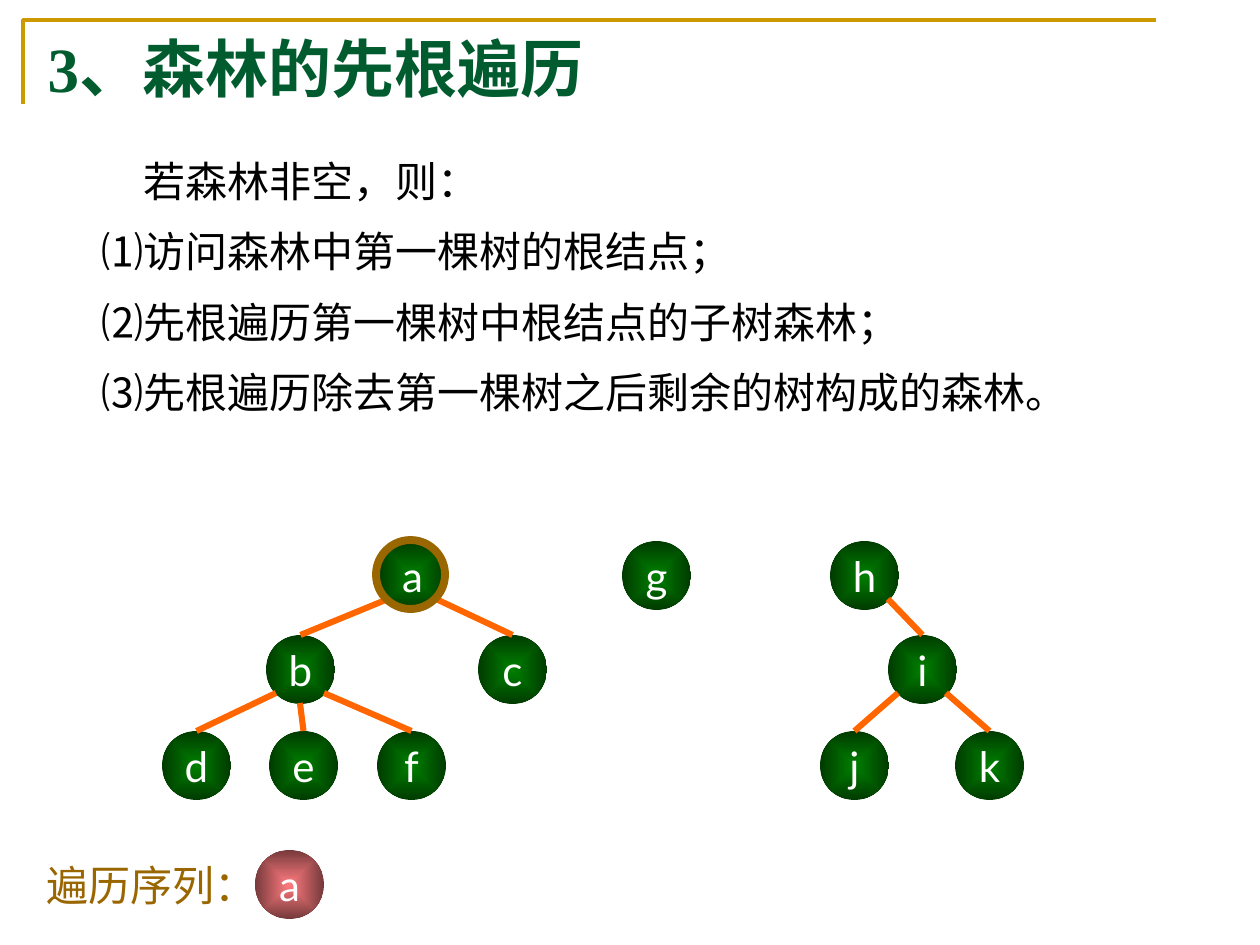
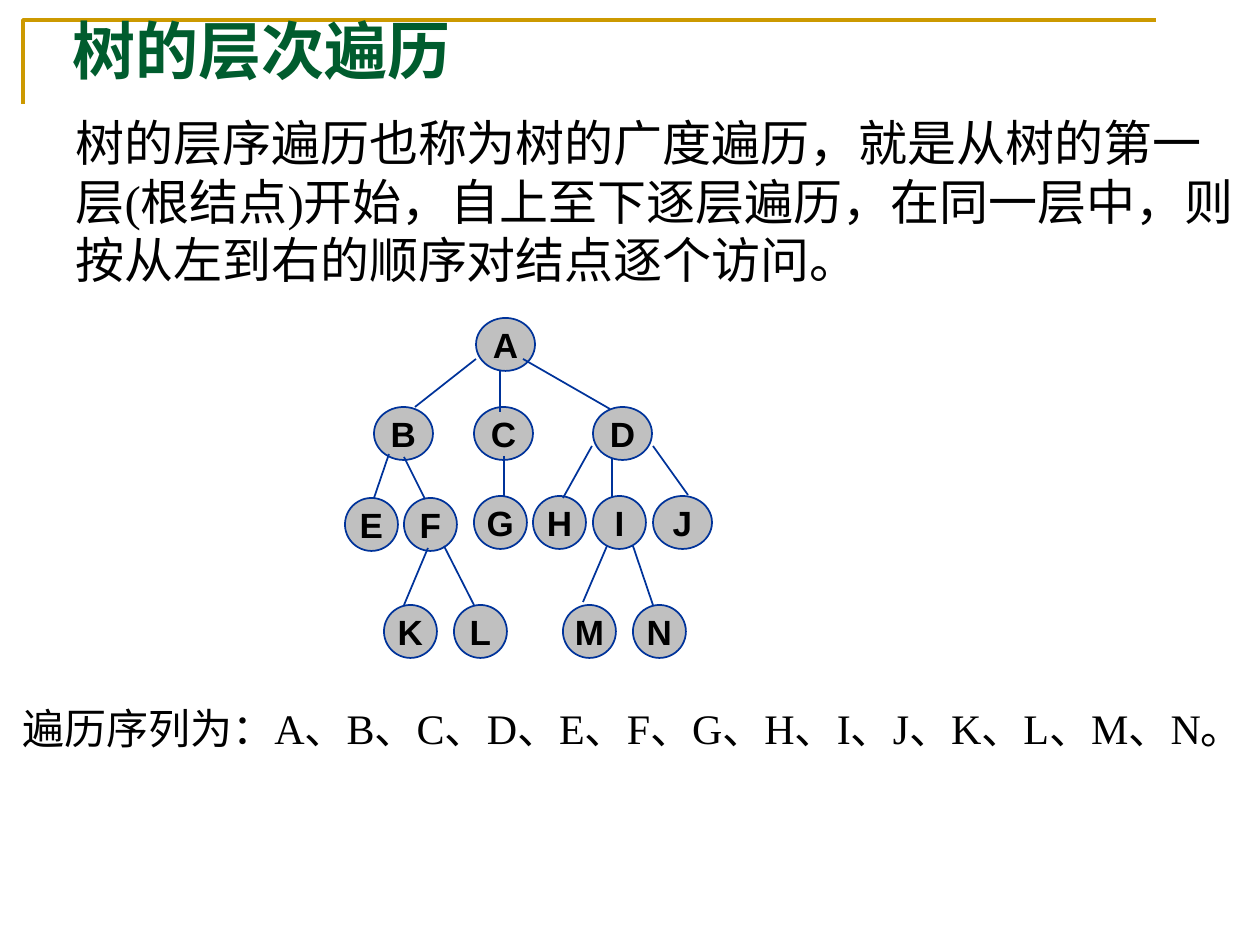
from pptx import Presentation, util as u
from pptx.dml.color import RGBColor
from pptx.enum import shapes, text
from pptx.oxml import ns
from lxml import etree

GOLD = RGBColor(0xCC, 0x99, 0x00)
BROWN = RGBColor(0x99, 0x66, 0x00)
PINE = RGBColor(0x00, 0x5C, 0x2E)
BLACK = RGBColor(0, 0, 0)
WHITE = RGBColor(0xFF, 0xFF, 0xFF)
ORANGE = RGBColor(0xFF, 0x66, 0x00)
NAVY = RGBColor(0x00, 0x33, 0x9A)
GREY = RGBColor(0xC0, 0xC0, 0xC0)
GREEN = RGBColor(0x00, 0x80, 0x00), RGBColor(0x00, 0x3B, 0x00)
ROSE = RGBColor(0xFF, 0x7C, 0x80), RGBColor(0x76, 0x39, 0x3B)

SCALE = u.Inches(1) / 126
LEFT, MID, JUST = (text.PP_ALIGN.LEFT, text.PP_ALIGN.CENTER,
                   text.PP_ALIGN.JUSTIFY)
TOP, CENTRE, BOTTOM = (text.MSO_ANCHOR.TOP, text.MSO_ANCHOR.MIDDLE,
                       text.MSO_ANCHOR.BOTTOM)


def emu(*lengths):
    return [round(n * SCALE) for n in lengths]


def write(frame, lines, size=24, font="Times New Roman", color=BLACK,
          bold=False, align=LEFT, anchor=TOP, wrap=True, pitch=None, after=0):
    """Fill a frame with (indent, text) lines in one format."""
    frame.auto_size = text.MSO_AUTO_SIZE.NONE
    frame.word_wrap = wrap
    frame.vertical_anchor = anchor
    for n, (indent, words) in enumerate(lines):
        para = frame.add_paragraph() if n else frame.paragraphs[0]
        para.alignment = align
        para.line_spacing = pitch
        para.space_before, para.space_after = u.Pt(0), u.Pt(after)
        props = para._p.get_or_add_pPr()
        props.set("marL", str(emu(indent)[0]))
        props.set("indent", "0")
        etree.SubElement(props, ns.qn("a:buNone"))
        run = para.add_run()
        run.text = words
        run.font.size, run.font.name = u.Pt(size), font
        run.font.bold, run.font.color.rgb = bold, color
        run._r.get_or_add_rPr().set("lang", "zh-CN")


class Deck:
    def __init__(self):
        self.file = Presentation()
        self.file.slide_width, self.file.slide_height = emu(1260, 945)
        self.slide = None

    def page(self, title, box, **fmt):
        self.slide = self.file.slides.add_slide(self.file.slide_layouts[1])
        # Corner rule behind the title
        pen = self.slide.shapes.build_freeform(23, 104, scale=SCALE)
        pen.add_line_segments([(23, 20), (1156, 20)], close=False)
        rule = pen.convert_to_shape()
        rule.shadow.inherit = False
        rule.fill.background()
        rule.line.color.rgb, rule.line.width = GOLD, u.Pt(2)
        self.slide.shapes._spTree.insert(2, rule._element)
        self.fill(self.slide.shapes.title, box, [(0, title)], size=36,
                  color=PINE, bold=True, **fmt)

    def fill(self, shape, box, lines, **fmt):
        shape.left, shape.top, shape.width, shape.height = emu(*box)
        write(shape.text_frame, lines, **fmt)

    def body(self, box, lines, **fmt):
        self.fill(self.slide.placeholders[1], box, lines, **fmt)

    def label(self, box, words, **fmt):
        area = self.slide.shapes.add_textbox(*emu(*box))
        write(area.text_frame, [(0, words)], **fmt)

    def oval(self, box, paint=None, edge=None, width=1):
        shape = self.slide.shapes.add_shape(
            shapes.MSO_SHAPE.OVAL, *emu(*box))
        shape.shadow.inherit = False
        if paint is None:
            shape.fill.background()
        elif isinstance(paint, RGBColor):
            shape.fill.solid()
            shape.fill.fore_color.rgb = paint
        else:
            self.glow(shape, paint)
        if edge is None:
            shape.line.fill.background()
        else:
            shape.line.color.rgb, shape.line.width = edge, u.Pt(width)
        return shape

    def glow(self, shape, paint):
        """Shade from the centre outwards."""
        shape.fill.gradient()
        for stop, color in zip(shape.fill.gradient_stops, paint):
            stop.color.rgb = color
        grad = shape._element.spPr.find(ns.qn("a:gradFill"))
        grad.remove(grad.find(ns.qn("a:lin")))
        way = etree.SubElement(grad, ns.qn("a:path"))
        way.set("path", "rect")
        core = etree.SubElement(way, ns.qn("a:fillToRect"))
        for side in "ltrb":
            core.set(side, "50000")

    def node(self, name, box, paint, edge=None, **fmt):
        shape = self.oval(box, paint, edge)
        write(shape.text_frame, [(0, name)], align=MID, anchor=CENTRE,
              wrap=False, **fmt)
        return shape

    def link(self, ends, color, width, child=None):
        line = self.slide.shapes.add_connector(
            shapes.MSO_CONNECTOR.STRAIGHT, *emu(*ends))
        line.line.color.rgb, line.line.width = color, u.Pt(width)
        etree.SubElement(line._element.spPr, ns.qn("a:effectLst"))
        if child is not None:
            line.end_connect(child, 0)


def forest(deck):
    deck.page("3、森林的先根遍历", (35, 0, 1042, 111), anchor=BOTTOM, pitch=1.2)
    deck.body((47, 163, 1140, 595), [
        (84, "若森林非空，则："),
        (42, "⑴访问森林中第一棵树的根结点；"),
        (42, "⑵先根遍历第一棵树中根结点的子树森林；"),
        (42, "⑶先根遍历除去第一棵树之后剩余的树构成的森林。"),
    ], pitch=0.7, after=20)

    # Nodes, level by level
    size, half, slant = 69, 34, 24
    style = dict(font="Lato", color=WHITE)
    levels = {541: dict(a=378, g=622, h=830),
              635: dict(b=266, c=478, i=888),
              731: dict(d=162, e=269, f=377, j=820, k=955)}
    spots, nodes = {}, {}
    for top, row in levels.items():
        for name, left in row.items():
            spots[name] = left + half, top + half
            nodes[name] = deck.node(name, (left, top, size, size), GREEN,
                                    **style)

    # Edges leave the parent at lower left (-1), bottom (0) or lower right (1)
    for up, down, side in [("a", "b", -1), ("a", "c", 1), ("b", "d", -1),
                           ("b", "e", 0), ("b", "f", 1), ("h", "i", 1),
                           ("i", "j", -1), ("i", "k", 1)]:
        x, y = spots[up]
        end = spots[down]
        start = x + side * slant, y + (slant if side else half)
        deck.link((*start, end[0], end[1] - half), ORANGE, 3.5, nodes[down])

    # Visited node and the sequence so far
    deck.oval((376, 540, size, size), edge=BROWN, width=4.5)
    deck.label((34, 853, 285, 63), "遍历序列：", font="Lato", color=BROWN)
    deck.node("a", (255, 850, size, size), ROSE, **style)


def layers(deck):
    deck.page("树的层次遍历", (60, 5, 1200, 116))
    deck.body((0, 106, 1260, 189), [
        (63, "树的层序遍历也称为树的广度遍历，就是从树的第一层(根结点)开始，"
             "自上至下逐层遍历，在同一层中，则按从左到右的顺序对结点逐个访问。"),
    ], size=28)

    # Nodes, level by level
    levels = [(318, dict(A=476)),
              (407, dict(B=374, C=474, D=593)),
              (498, dict(E=345, F=404)),
              (496, dict(G=474, H=533, I=593, J=653)),
              (605, dict(K=384, L=454, M=563, N=633))]
    for top, row in levels:
        for name, left in row.items():
            width = 59 if name in "ABCDJ" else 53
            deck.node(name, (left, top, width, 53), GREY, NAVY, size=20,
                      font="Arial", bold=True)

    # Edges
    for ends in [(476, 359, 415, 407), (500, 370, 500, 412),
                 (523, 359, 610, 409), (389, 454, 374, 498),
                 (404, 457, 425, 499), (504, 456, 504, 496),
                 (592, 446, 563, 498), (612, 459, 612, 498),
                 (653, 446, 688, 495), (428, 548, 404, 605),
                 (444, 546, 474, 605), (607, 546, 583, 602),
                 (633, 546, 653, 605)]:
        deck.link(ends, NAVY, 1)

    names = "、".join("ABCDEFGHIJKLMN")
    deck.label((10, 696, 1250, 113), f"遍历序列为：{names}。", align=JUST)


def main():
    deck = Deck()
    forest(deck)
    layers(deck)
    deck.file.save("out.pptx")


if __name__ == "__main__":
    main()
